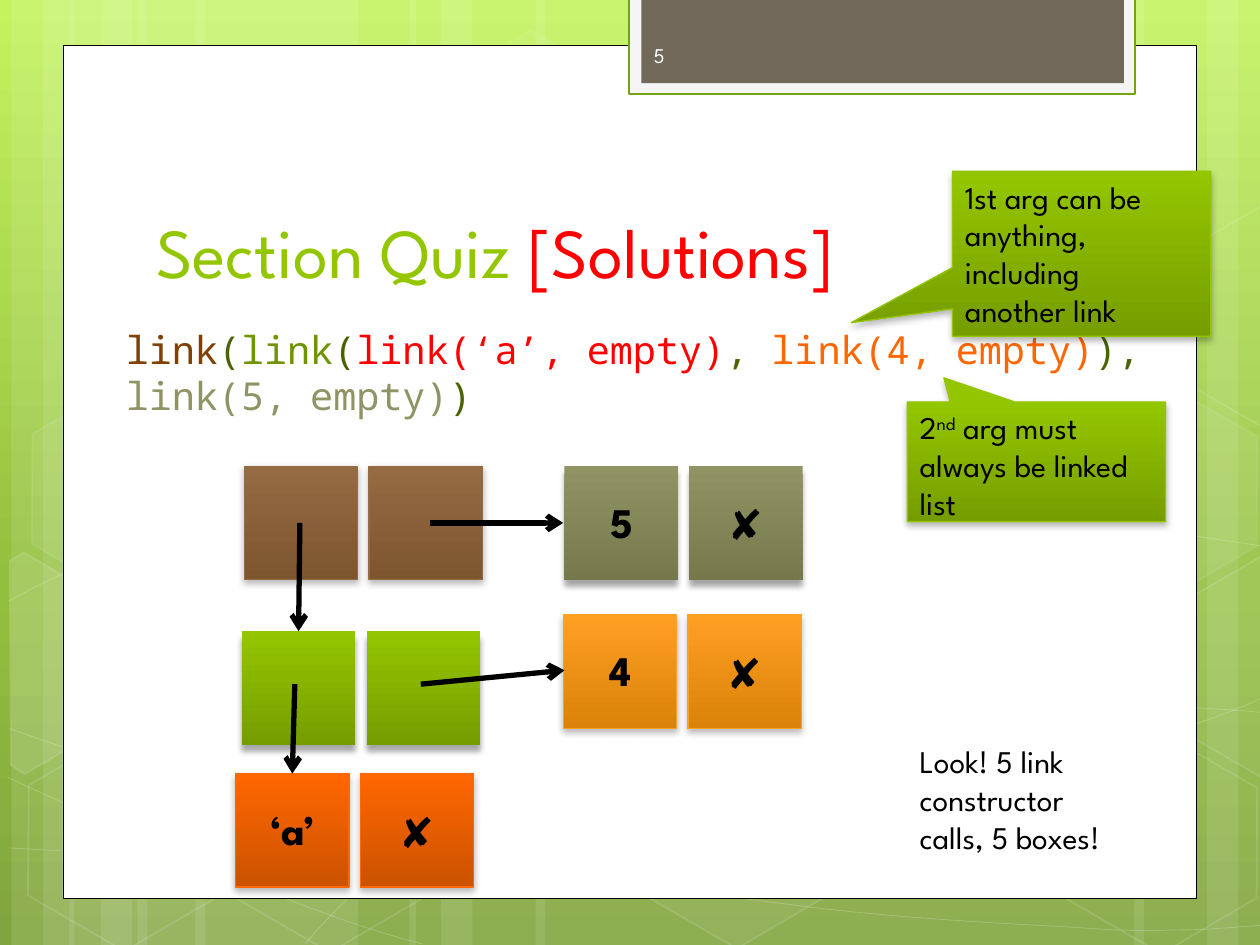
import copy
import math
from typing import NamedTuple, Optional

import pptx
import pptx.dml.color
import pptx.enum.shapes
import pptx.enum.text
import pptx.oxml
import pptx.oxml.ns
import pptx.util

Inches = pptx.util.Inches
Pt = pptx.util.Pt
qn = pptx.oxml.ns.qn
Shapes = pptx.enum.shapes.MSO_SHAPE
Align = pptx.enum.text.PP_ALIGN
Anchor = pptx.enum.text.MSO_ANCHOR
Point = tuple[float, float]

SANS, MONO = "League Spartan", "Noto Sans Mono"
GREEN = ("94C600", "769D00")
CELL, CELL_STEP = 0.9, 0.99
LABEL_OFFSETS = [(0.01, 0.19), (0, 0.21)]
HEXAGON_TILT = 30


class Span(NamedTuple):
    text: str
    color: str = "000000"


class Shadow(NamedTuple):
    alpha: int
    blur: float
    distance: float


class LinkBox(NamedTuple):
    left: float
    top: float
    colors: tuple[str, str]
    outlined: bool
    labels: tuple[str, str] = ("", "")


class Callout(NamedTuple):
    left: float
    top: float
    height: float
    pointer: Point
    text_height: float
    spans: list[Span]


SOFT, DEEP = Shadow(28, 4, 2), Shadow(34, 3.5, 4)


def set_alpha(shape, query: str, percent: int) -> None:
    color = shape.element.spPr.xpath(query)[0]
    color.append(color.makeelement(qn("a:alpha"), {"val": str(percent * 1000)}))


def rgb(color: str) -> pptx.dml.color.RGBColor:
    return pptx.dml.color.RGBColor.from_string(color)


def paint(shape, fill: Optional[str] = None, fill_alpha: int = 100,
          line: Optional[str] = None, width: float = 1, line_alpha: int = 100) -> None:
    shape.shadow.inherit = False
    if fill:
        shape.fill.solid()
        shape.fill.fore_color.rgb = rgb(fill)
        if fill_alpha < 100:
            set_alpha(shape, "a:solidFill/a:srgbClr", fill_alpha)
    else:
        shape.fill.background()
    if line:
        shape.line.color.rgb = rgb(line)
        shape.line.width = Pt(width)
        if line_alpha < 100:
            set_alpha(shape, "a:ln/a:solidFill/a:srgbClr", line_alpha)
    else:
        shape.line.fill.background()


def add_preset(slide, kind, left: float, top: float, width: float, height: float):
    return slide.shapes.add_shape(kind, Inches(left), Inches(top), Inches(width), Inches(height))


def set_gradient(fill, first: str, last: str) -> None:
    fill.gradient()
    fill.gradient_angle = 270
    for stop, color, position in zip(fill.gradient_stops, (first, last), (0, 1)):
        stop.color.rgb = rgb(color)
        stop.position = position


def paint_raised(shape, colors: tuple[str, str], outlined: bool = True) -> None:
    paint(shape, line=colors[0] if outlined else None, width=0.75)
    set_gradient(shape.fill, *colors)
    shadow = SOFT if outlined else DEEP
    shape.element.spPr.find(qn("a:effectLst")).append(pptx.oxml.parse_xml(
        f'<a:outerShdw {pptx.oxml.ns.nsdecls("a")} blurRad="{Pt(shadow.blur)}" '
        f'dist="{Pt(shadow.distance)}" dir="5400000" rotWithShape="0"><a:srgbClr val="000000">'
        f'<a:alpha val="{shadow.alpha * 1000}"/></a:srgbClr></a:outerShdw>'))


def add_text(slide, left: float, top: float, width: float, height: float, spans: list[Span],
             size: float, font: str = SANS, bold: bool = False, align=Align.LEFT, anchor=Anchor.TOP):
    box = slide.shapes.add_textbox(Inches(left), Inches(top), Inches(width), Inches(height))
    box.text_frame.word_wrap = True
    box.text_frame.vertical_anchor = anchor
    paragraph = box.text_frame.paragraphs[0]
    paragraph.alignment = align
    paragraph.font.name, paragraph.font.size, paragraph.font.bold = font, Pt(size), bold
    for span in spans:
        run = paragraph.add_run()
        run.text = span.text
        run.font.color.rgb = rgb(span.color)
    return box


def add_outline(slide, points: list[Point], close: bool):
    vertices = [(Inches(x), Inches(y)) for x, y in points]
    builder = slide.shapes.build_freeform(*vertices[0])
    builder.add_line_segments(vertices[1:], close=close)
    return builder.convert_to_shape()


def add_curve(slide, controls: list[Point]):
    """Draw the control points as an outline, then join each three into a cubic Bezier."""
    shape = add_outline(slide, controls, False)
    segments = shape.element.xpath(".//a:path/a:lnTo")
    for index in range(0, len(segments), 3):
        group = segments[index:index + 3]
        curve = group[0].makeelement(qn("a:cubicBezTo"), {})
        group[0].addprevious(curve)
        for segment in group:
            curve.append(segment[0])
            segment.getparent().remove(segment)
    return shape


def add_cut_hexagon(slide, center: Point, points: list[Point]):
    """Lay the outline upright around its center, then tilt the shape like the hexagons."""
    cosine, sine = math.cos(math.radians(HEXAGON_TILT)), math.sin(math.radians(HEXAGON_TILT))
    offsets = [(x - center[0], y - center[1]) for x, y in points]
    upright = [(center[0] + x * cosine + y * sine, center[1] - x * sine + y * cosine) for x, y in offsets]
    shape = add_outline(slide, upright, True)
    shape.rotation = HEXAGON_TILT
    return shape


def add_link_box(slide, box: LinkBox) -> None:
    lefts = [box.left + index * CELL_STEP for index in (0, 1)]
    for left in lefts:
        paint_raised(add_preset(slide, Shapes.RECTANGLE, left, box.top, CELL, CELL), box.colors, box.outlined)
    for left, label, (right, down) in zip(lefts, box.labels, LABEL_OFFSETS):
        if label:
            add_text(slide, left + right, box.top + down, 0.89, 0.5, [Span(label)], 24,
                     bold=True, align=Align.CENTER)


def add_arrow(slide, start: Point, end: Point) -> None:
    arrow = slide.shapes.add_connector(pptx.enum.shapes.MSO_CONNECTOR.STRAIGHT,
                                       *(Inches(value) for value in start + end))
    arrow.line.color.rgb = rgb("000000")
    arrow.line.width = Pt(3)
    properties = arrow.element.spPr
    line = properties.find(qn("a:ln"))
    line.append(line.makeelement(qn("a:tailEnd"), {"type": "arrow"}))
    properties.append(properties.makeelement(qn("a:effectLst"), {}))


def add_callout(slide, callout: Callout):
    shape = add_preset(slide, Shapes.RECTANGULAR_CALLOUT, callout.left, callout.top, 2.05, callout.height)
    shape.adjustments[0], shape.adjustments[1] = callout.pointer
    paint_raised(shape, GREEN)
    return add_text(slide, callout.left, callout.top, 1.91, callout.text_height, callout.spans, 18)


def draw_background(slide) -> None:
    set_gradient(slide.background.fill, "C3F35F", "81A53E")
    stops = slide.element.xpath(".//p:bg//a:gsLst")[0]
    middle = copy.deepcopy(stops[0])
    middle.set("pos", "62000")
    middle[0].set("val", "93BF3F")
    stops.insert(1, middle)

    # Vertical stripes: left, width
    for left, width in [(1.09, 1.75), (0.09, 0.5), (0.34, 0.83), (1.55, 1.75), (0.55, 0.5), (0.8, 0.83),
                        (7.33, 1.75), (9.58, 0.5), (9, 0.83), (4.25, 3.08), (3.25, 0.5), (3.5, 0.83)]:
        paint(add_preset(slide, Shapes.RECTANGLE, left, 0, width, 7.5), "FFFFFF", 10)

    # Sweeping curves, as Bezier control points
    for controls in [
        [(0.07, 6.73), (0.61, 6.76), (1.15, 6.79), (1.9, 6.78), (2.65, 6.77), (3.58, 6.75), (4.58, 6.65),
         (5.58, 6.55), (7, 6.36), (7.92, 6.17), (8.83, 5.98), (9.77, 5.68), (10.07, 5.51)],
        [(0.07, 4.77), (0.36, 4.61), (0.65, 4.46), (1.21, 4.31), (1.78, 4.16), (2.59, 3.94), (3.47, 3.87),
         (4.36, 3.8), (5.44, 3.79), (6.54, 3.87), (7.64, 3.95), (9.47, 4.26), (10.07, 4.34)],
        [(0.06, 6.17), (1.27, 6.72), (2.47, 7.27), (3.35, 7.49)],
        [(0.07, 5.78), (0.38, 5.89), (0.7, 6), (1.28, 6.16), (1.86, 6.31), (2.73, 6.56), (3.57, 6.73),
         (4.4, 6.9), (5.45, 7.08), (6.28, 7.18), (7.11, 7.29), (8, 7.33), (8.53, 7.36),
         (9.06, 7.4), (9.19, 7.38), (9.45, 7.38), (9.71, 7.37), (9.89, 7.35), (10.07, 7.34)],
        [(2.42, 7.49), (2.6, 7.29), (2.78, 7.09), (3.02, 6.91), (3.26, 6.72), (3.6, 6.53), (3.88, 6.39),
         (4.16, 6.25), (4.33, 6.19), (4.69, 6.09), (5.06, 5.99), (5.73, 5.85), (6.08, 5.78),
         (6.44, 5.71), (6.49, 5.71), (6.8, 5.69), (7.11, 5.66), (7.6, 5.63), (7.94, 5.62),
         (8.29, 5.61), (8.86, 5.62), (8.86, 5.62), (8.86, 5.62), (9.53, 5.62), (9.53, 5.62),
         (9.71, 5.63), (9.88, 5.64), (10.06, 5.66)],
    ]:
        paint(add_curve(slide, controls), line="FFFFFF", width=0.5, line_alpha=20)

    # Hexagons: left, top, fill opacity, line opacity
    for left, top, fill_alpha, line_alpha in [
            (3.34, 0.36, 4, 8), (4.97, 5.89, 6, 12), (0.11, 5.91, 0, 12), (0.14, 3.12, 7, 8),
            (1.74, 5.92, 0, 12), (7.53, 4.53, 10, 12), (8.34, 5.93, 0, 12), (8.34, 3.14, 7, 8)]:
        hexagon = add_preset(slide, Shapes.HEXAGON, left, top, 1.75, 1.52)
        hexagon.adjustments[0] = 0.285
        hexagon.rotation = HEXAGON_TILT
        paint(hexagon, "FFFFFF" if fill_alpha else None, fill_alpha, "FFFFFF", 1, line_alpha)

    # Hexagons cut off by the slide edges
    left_cut = [(0.08, 4.45), (0.19, 4.38), (0.96, 4.83), (0.95, 5.7), (0.2, 6.14), (0.09, 6.07)]
    right_cut = [(9.26, 4.85), (10.02, 4.41), (10.09, 4.46), (10.09, 6.13), (10.02, 6.17), (9.26, 5.73)]
    upper_cut = [(x, y - 2.78) for x, y in right_cut]
    for center, points, fill_alpha in [((0.36, 5.36), left_cut, 10), ((9.85, 5.2), right_cut, 4),
                                       ((9.85, 2.41), upper_cut, 0)]:
        paint(add_cut_hexagon(slide, center, points), "FFFFFF" if fill_alpha else None, fill_alpha,
              "FFFFFF", 1, 12)

    # White page and number tab
    paint(add_preset(slide, Shapes.RECTANGLE, 0.5, 0.36, 9, 6.77), "FFFFFF", line="000000", width=0.5)
    paint(add_preset(slide, Shapes.RECTANGLE, 4.99, -0.02, 4.02, 0.77), "F5F5F5", line="74A510", width=1.25)
    paint(add_preset(slide, Shapes.RECTANGLE, 5.09, -0.02, 3.83, 0.68), "71685A")


def draw_content(slide) -> None:
    # Title, code and slide number
    add_text(slide, 1.14, 1.12, 7.68, 1.25, [Span("Section Quiz ", "94C600"), Span("[Solutions]", "FF0000")],
             40, anchor=Anchor.BOTTOM)
    code = add_text(slide, 0.5, 2.54, 8.89, 4.38, [
        Span("link", "804000"), Span("(", "4A6300"), Span("link", "6F9400"), Span("(", "4A6300"),
        Span("link(‘a’, empty)", "FF0000"), Span(", ", "4A6300"), Span("link(4, empty)", "FF6600"),
        Span("), ", "4A6300"), Span("link(5, empty)", "909465"), Span(")", "4A6300")], 22, MONO)
    code.text_frame.paragraphs[0].space_before = Pt(4.4)
    code.element.xpath(".//a:pPr")[0].set("marL", str(Inches(0.4)))
    add_text(slide, 5.09, 0.24, 1.46, 0.4, [Span("5", "FEFEFE")], 12, anchor=Anchor.MIDDLE)

    # Box and pointer diagram
    for box in [LinkBox(1.87, 6.14, ("FF6700", "CB5200"), True, ("‘a’", "✘")),
                LinkBox(4.47, 4.88, ("FEA022", "DB820A"), True, ("4", "✘")),
                LinkBox(4.48, 3.7, ("909465", "75794C"), False, ("5", "✘")),
                LinkBox(1.94, 3.7, ("956B43", "7D552F"), True),
                LinkBox(1.92, 5.01, GREEN, False)]:
        add_link_box(slide, box)
    for start, end in [((2.38, 4.15), (2.37, 5.01)), ((3.41, 4.15), (4.47, 4.15)),
                       ((2.34, 5.43), (2.32, 6.14)), ((3.34, 5.43), (4.48, 5.32))]:
        add_arrow(slide, start, end)

    # Remarks
    add_text(slide, 7.2, 5.84, 1.91, 1.01, [Span("Look! 5 link constructor calls, 5 boxes!")], 18)
    second = add_callout(slide, Callout(7.2, 3.19, 0.95, (-0.358, -0.702), 1.01, [
        Span("2"), Span("nd"), Span(" arg must always be linked list")]))
    second.element.xpath(".//a:r")[1].get_or_add_rPr().set("baseline", "30000")
    add_callout(slide, Callout(7.56, 1.36, 1.31, (-0.892, 0.417), 1.31, [
        Span("1st arg can be anything, including another link")]))


def main() -> None:
    presentation = pptx.Presentation()
    presentation.slide_width, presentation.slide_height = Inches(10), Inches(7.5)
    slide = presentation.slides.add_slide(presentation.slide_layouts[6])
    draw_background(slide)
    draw_content(slide)
    presentation.save("out.pptx")


if __name__ == "__main__":
    main()
